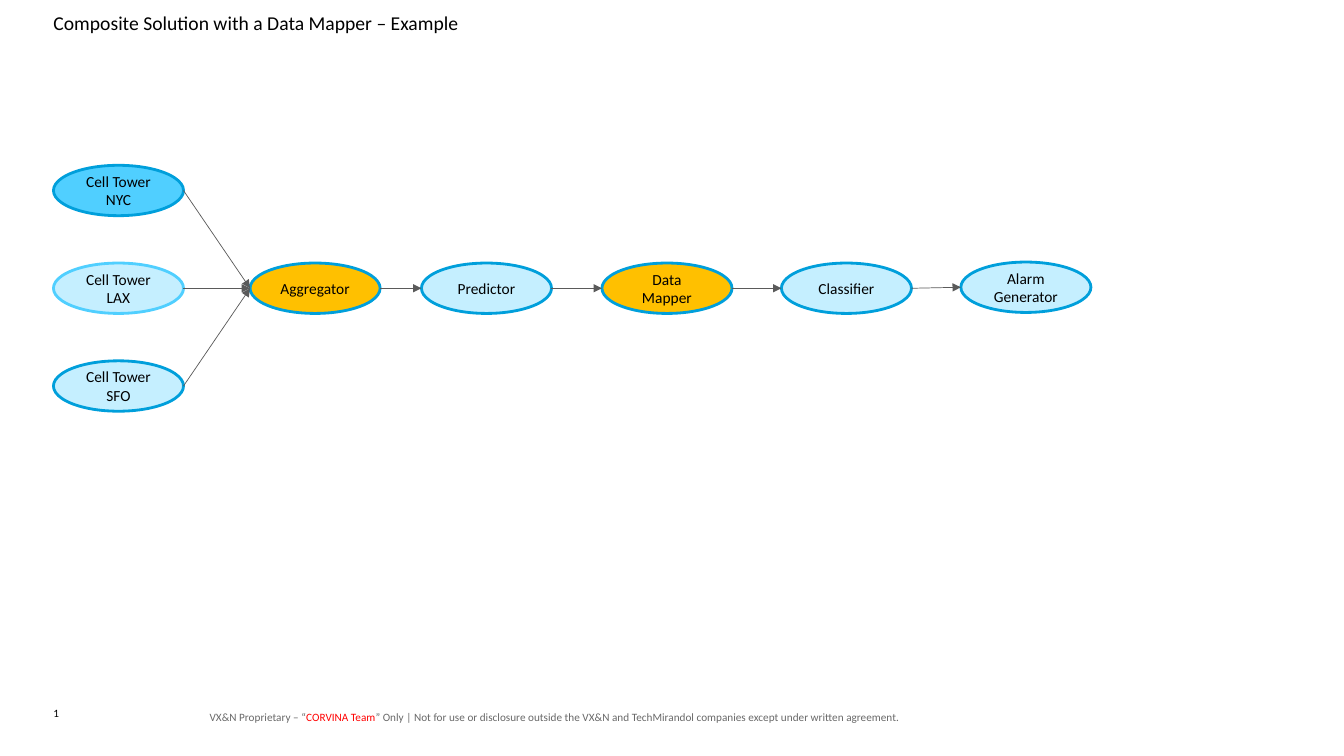
from itertools import pairwise

from lxml import etree
from pptx import Presentation
from pptx.dml.color import RGBColor
from pptx.enum.shapes import MSO_CONNECTOR, MSO_SHAPE
from pptx.enum.text import MSO_ANCHOR, MSO_AUTO_SIZE, PP_ALIGN
from pptx.oxml.ns import qn
from pptx.util import Inches, Pt

STRAIGHT = MSO_CONNECTOR.STRAIGHT
ELLIPSE = MSO_SHAPE.OVAL
TOP, MIDDLE = MSO_ANCHOR.TOP, MSO_ANCHOR.MIDDLE
LEFT, CENTER = PP_ALIGN.LEFT, PP_ALIGN.CENTER
NO_AUTOSIZE = MSO_AUTO_SIZE.NONE

SLIDE_W, SLIDE_H = 13.33, 7.5
MARGIN = 0.53
NODE_W, NODE_H = 1.29, 0.5
ROW_PITCH = 0.97
BLACK, GREY, RED, ARROW_GREY = "000000", "696969", "FF0000", "5A5A5A"
BLUE, BRIGHT_BLUE, PALE_BLUE, AMBER = "009FDB", "50CFFF", "C5EFFF", "FFC000"

# name, fill, outline
TOWERS = [
    ("Cell Tower NYC", BRIGHT_BLUE, BLUE),
    ("Cell Tower LAX", PALE_BLUE, BRIGHT_BLUE),
    ("Cell Tower SFO", PALE_BLUE, BLUE),
]
# name, fill, left and top offset within the flow
STAGES = [
    ("Aggregator", AMBER, 1.95, ROW_PITCH),
    ("Predictor", PALE_BLUE, 3.65, ROW_PITCH),
    ("Data Mapper", AMBER, 5.44, ROW_PITCH),
    ("Classifier", PALE_BLUE, 7.22, ROW_PITCH),
    ("Alarm Generator", PALE_BLUE, 9.0, ROW_PITCH - 0.01),
]
FOOTER = [
    ("VX&N Proprietary – “", GREY),
    ("CORVINA Team", RED),
    ("” Only | Not for use or disclosure outside the VX&N and TechMirandol "
     "companies except under written agreement.", GREY),
]


def color(hex_string):
    return RGBColor.from_string(hex_string)


def style_run(run, size, hex_string=BLACK):
    run.font.name = "Calibri"
    run.font.size = Pt(size)
    run.font.color.rgb = color(hex_string)


def clear_insets(frame):
    frame.margin_left = frame.margin_right = 0
    frame.margin_top = frame.margin_bottom = 0


def add_title(slide, left, top, width, height):
    title = slide.shapes.title
    title.left, title.top = Inches(left), Inches(top)
    title.width, title.height = Inches(width), Inches(height)
    frame = title.text_frame
    frame.text = "Composite Solution with a Data Mapper – Example"
    frame.auto_size = NO_AUTOSIZE
    frame.vertical_anchor = TOP
    clear_insets(frame)
    heading = frame.paragraphs[0]
    heading.alignment = LEFT
    heading.line_spacing = 1.1
    heading.space_after = Pt(10)
    style_run(heading.runs[0], 14)


def add_node(slide, name, fill, outline, left, top):
    node = slide.shapes.add_shape(
        ELLIPSE, Inches(left), Inches(top), Inches(NODE_W), Inches(NODE_H))
    node.shadow.inherit = False
    node.fill.solid()
    node.fill.fore_color.rgb = color(fill)
    node.line.color.rgb = color(outline)
    node.line.width = Pt(2)
    frame = node.text_frame
    frame.word_wrap = True
    frame.vertical_anchor = MIDDLE
    frame.text = name
    label = frame.paragraphs[0]
    label.alignment = CENTER
    style_run(label.runs[0], 11)
    return node


def add_arrow(slide, source, target):
    """Point from the right tip of one ellipse to the left tip of the next."""
    arrow = slide.shapes.add_connector(
        STRAIGHT,
        source.left + source.width, source.top + source.height // 2,
        target.left, target.top + target.height // 2)
    arrow.line.color.rgb = color(ARROW_GREY)
    arrow.line.width = Pt(0.5)
    etree.SubElement(arrow.line._get_or_add_ln(), qn("a:tailEnd"), type="triangle")
    etree.SubElement(arrow._element.spPr, qn("a:effectLst"))


def add_flow(slide, left, top):
    towers = [
        add_node(slide, name, fill, outline, left, top + row * ROW_PITCH)
        for row, (name, fill, outline) in enumerate(TOWERS)
    ]
    stages = [
        add_node(slide, name, fill, BLUE, left + dx, top + dy)
        for name, fill, dx, dy in STAGES
    ]
    for tower in towers:
        add_arrow(slide, tower, stages[0])
    for source, target in pairwise(stages):
        add_arrow(slide, source, target)


def add_footer(slide, left, top):
    notice = slide.shapes.add_textbox(
        Inches(left + 1.45), Inches(top), Inches(7.28), Inches(0.24))
    notice.text_frame.word_wrap = True
    sentence = notice.text_frame.paragraphs[0]
    for words, hex_string in FOOTER:
        run = sentence.add_run()
        run.text = words
        style_run(run, 8, hex_string)

    page = slide.shapes.add_textbox(
        Inches(left), Inches(top), Inches(0.32), Inches(0.25))
    clear_insets(page.text_frame)
    page.text_frame.word_wrap = True
    page.text_frame.text = "1"
    number = page.text_frame.paragraphs[0]
    number.line_spacing = Pt(10)
    style_run(number.runs[0], 8)


def main():
    deck = Presentation()
    deck.slide_width, deck.slide_height = Inches(SLIDE_W), Inches(SLIDE_H)
    slide = deck.slides.add_slide(deck.slide_layouts.get_by_name("Title Only"))
    add_footer(slide, MARGIN, SLIDE_H - 0.5)
    add_title(slide, MARGIN, 0.08, SLIDE_W - 2 * MARGIN, 0.32)
    add_flow(slide, MARGIN, 1.64)
    deck.save("out.pptx")


if __name__ == "__main__":
    main()
